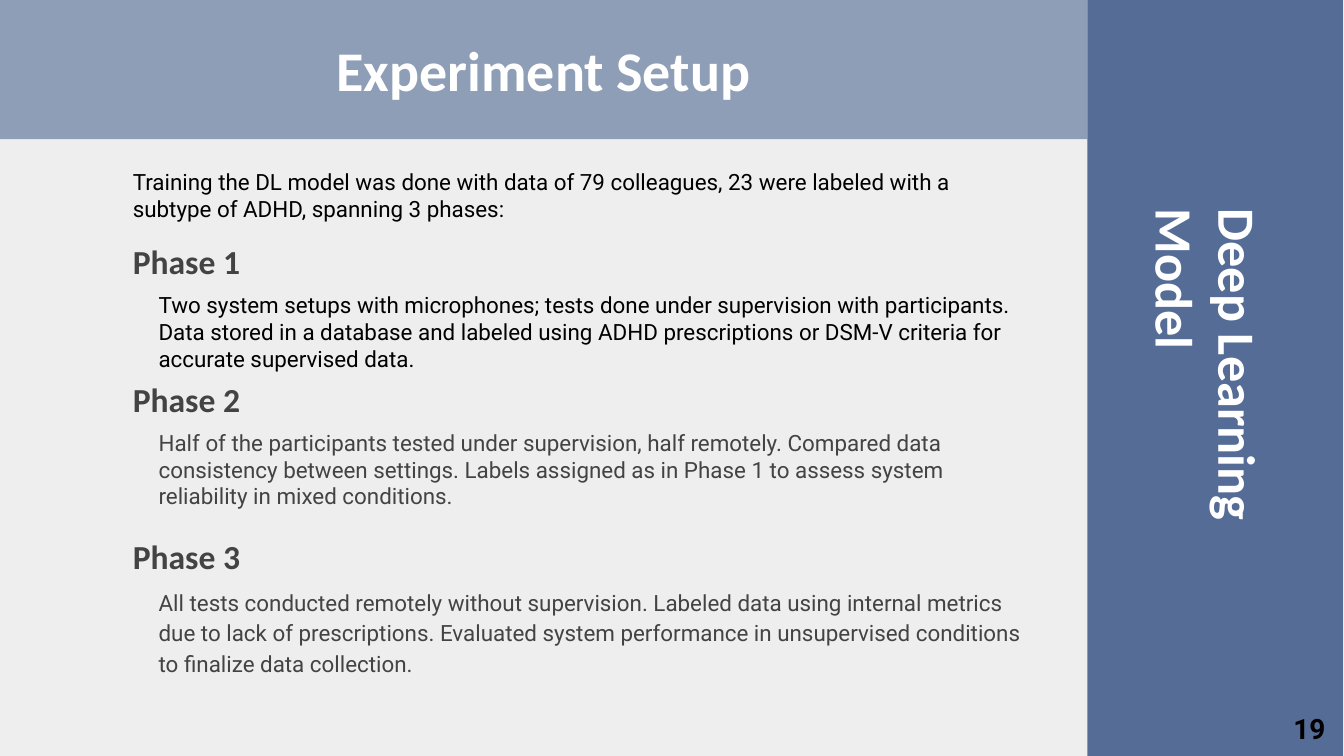
from dataclasses import dataclass

from lxml import etree
from pptx import Presentation
from pptx.dml.color import RGBColor
from pptx.enum.shapes import MSO_SHAPE
from pptx.enum.text import MSO_ANCHOR, PP_ALIGN
from pptx.oxml.ns import qn
from pptx.util import Pt

RECTANGLE = MSO_SHAPE.RECTANGLE
TOP, MIDDLE, BOTTOM = MSO_ANCHOR.TOP, MSO_ANCHOR.MIDDLE, MSO_ANCHOR.BOTTOM
LEFT, CENTER, RIGHT = PP_ALIGN.LEFT, PP_ALIGN.CENTER, PP_ALIGN.RIGHT


@dataclass(frozen=True)
class Theme:
    """Colours, fonts and type sizes of the slide."""
    paper: RGBColor = RGBColor(0xEE, 0xEE, 0xEE)
    blue: RGBColor = RGBColor(0x55, 0x6D, 0x96)
    white: RGBColor = RGBColor(0xFF, 0xFF, 0xFF)
    black: RGBColor = RGBColor(0, 0, 0)
    grey: RGBColor = RGBColor(0x43, 0x43, 0x43)
    heading_font: str = "Calibri"
    body_font: str = "Roboto"
    title_size: int = 30
    section_size: int = 28
    phase_size: int = 18
    number_size: int = 15
    body_size: int = 12
    header_alpha: int = 62
    inset: float = 7.2


THEME = Theme()

INTRO = ("Training the DL model was done with data of 79 colleagues, 23 were labeled "
         "with a subtype of ADHD, spanning 3 phases:")

PHASES = [
    ("Phase 1", (64.1, 123.1, 508.4, 77.1), 25.9, THEME.black, 1.0,
     "Two system setups with microphones; tests done under supervision with participants. "
     "Data stored in a database and labeled using ADHD prescriptions or DSM-V criteria for "
     "accurate supervised data."),
    ("Phase 2", (64.1, 197.3, 492.5, 76.3), 25.2, THEME.grey, 1.0,
     "Half of the participants tested under supervision, half remotely. Compared data "
     "consistency between settings. Labels assigned as in Phase 1 to assess system "
     "reliability in mixed conditions."),
    ("Phase 3", (64.1, 281.5, 492.5, 69.1), 24.5, THEME.grey, 1.15,
     "All tests conducted remotely without supervision. Labeled data using internal metrics "
     "due to lack of prescriptions. Evaluated system performance in unsupervised conditions "
     "to finalize data collection."),
]


def write(shape, text, font, size, color, bold=False, align=LEFT, anchor=TOP, spacing=1.0):
    """Fill a shape with one formatted paragraph."""
    frame = shape.text_frame
    frame.word_wrap = True
    frame.vertical_anchor = anchor
    frame.margin_left = frame.margin_right = Pt(THEME.inset)
    frame.margin_top = frame.margin_bottom = Pt(THEME.inset)
    frame.text = text
    paragraph = frame.paragraphs[0]
    paragraph.alignment = align
    paragraph.line_spacing = spacing
    style = paragraph.runs[0].font
    style.name, style.size, style.bold = font, Pt(size), bold
    style.color.rgb = color


def add_text(slide, box, text, font, size, color, **options):
    """Add a text box and return it."""
    label = slide.shapes.add_textbox(*map(Pt, box))
    write(label, text, font, size, color, **options)
    return label


def add_band(slide, box):
    """Add a plain blue rectangle and return it."""
    band = slide.shapes.add_shape(RECTANGLE, *map(Pt, box))
    band.shadow.inherit = False
    band.fill.solid()
    band.fill.fore_color.rgb = THEME.blue
    band.line.fill.background()
    return band


def add_header(slide, box, title):
    """Add the translucent band with the slide title."""
    header = add_band(slide, box)
    color = header.fill._xPr.find(qn("a:solidFill"))[0]
    etree.SubElement(color, qn("a:alpha"), val=str(THEME.header_alpha * 1000))
    write(header, title, THEME.heading_font, THEME.title_size, THEME.white,
          bold=True, align=CENTER, anchor=MIDDLE)


def add_sidebar(slide, box, section, number):
    """Add the side band with the turned section name and the slide number."""
    left, top, width, height = box
    add_band(slide, box)
    length, depth = 229.7, 54.7
    center_x, center_y = left + 78.1, top + 219.6
    name_box = (center_x - length / 2, center_y - depth / 2, length, depth)
    name = add_text(slide, name_box, section, THEME.heading_font,
                    THEME.section_size, THEME.white, bold=True)
    name.rotation = 90
    number_box = (left + width - 45.4, top + height - 31, 43.2, 31)
    add_text(slide, number_box, number, THEME.body_font, THEME.number_size,
             THEME.black, bold=True, align=RIGHT)


def add_phase(slide, box, heading, drop, color, spacing, description):
    """Add a phase heading with its indented description."""
    left, top, width, height = box
    indent = 13.8
    add_text(slide, (left, top, 119.5, 34.6), heading, THEME.heading_font,
             THEME.phase_size, THEME.grey, bold=True, anchor=BOTTOM)
    add_text(slide, (left + indent, top + drop, width - indent, height - drop), description,
             THEME.body_font, THEME.body_size, color, spacing=spacing)


def main():
    """Build and save the slide."""
    deck = Presentation()
    deck.slide_width, deck.slide_height = Pt(720), Pt(405)
    slide = deck.slides.add_slide(deck.slide_layouts[6])
    slide.background.fill.solid()
    slide.background.fill.fore_color.rgb = THEME.paper

    add_sidebar(slide, (582.5, 0, 136.9, 405), "Deep Learning Model", "19")
    add_header(slide, (0, 0, 582.5, 74.6), "Experiment Setup")
    add_text(slide, (64.1, 82.8, 494.6, 51.1), INTRO, THEME.body_font,
             THEME.body_size, THEME.black)
    for heading, box, drop, color, spacing, description in PHASES:
        add_phase(slide, box, heading, drop, color, spacing, description)

    deck.save("out.pptx")


if __name__ == "__main__":
    main()
